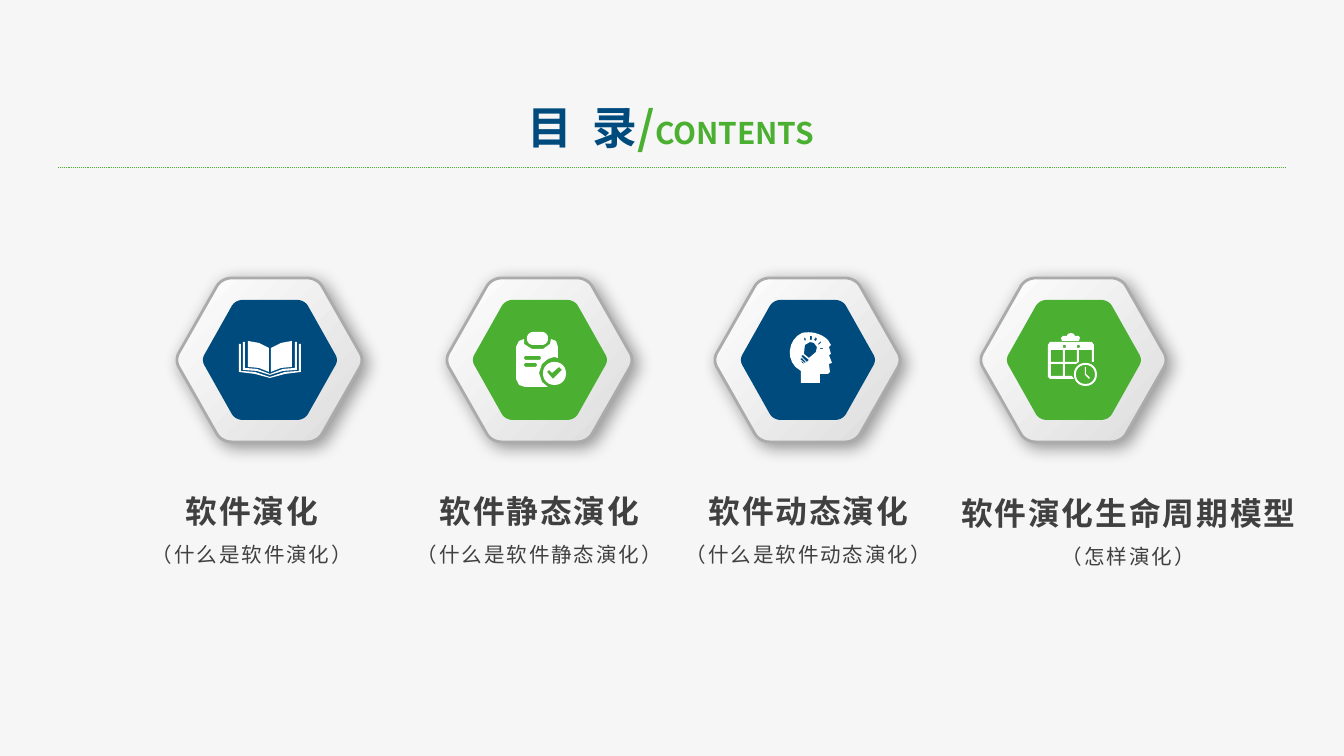
from math import cos, pi, sin

from lxml.etree import SubElement
from pptx import Presentation
from pptx.dml.color import RGBColor
from pptx.enum.dml import MSO_LINE
from pptx.enum.shapes import MSO_CONNECTOR
from pptx.enum.text import MSO_AUTO_SIZE, PP_ALIGN
from pptx.oxml.ns import qn
from pptx.util import Emu, Pt

PX = 9144000 / 1344
FONT = "Noto Sans CJK SC"
BLUE = RGBColor(0x00, 0x4B, 0x7D)
GREEN = RGBColor(0x4B, 0xAF, 0x31)
INK = RGBColor(0x40, 0x40, 0x40)
PAPER = RGBColor(0xF6, 0xF6, 0xF6)
WHITE = RGBColor(0xFF, 0xFF, 0xFF)
SILVER = RGBColor(0xDC, 0xDC, 0xDC)
EDGE = RGBColor(0xAB, 0xAB, 0xAB)


def px(length):
    return Emu(round(length * PX))


def style(target, values):
    for name, value in values.items():
        setattr(target, name, value)


def curve(start, first, second, end, steps=8):
    points = []
    for step in range(steps + 1):
        t = step / steps
        weights = ((1 - t) ** 3, 3 * t * (1 - t) ** 2, 3 * t * t * (1 - t), t ** 3)
        corners = (start, first, second, end)
        points.append(tuple(sum(w * c[axis] for w, c in zip(weights, corners))
                            for axis in (0, 1)))
    return points


def rounded(x, y, width, height, radius):
    centres = ((x + width - radius, y + height - radius), (x + radius, y + height - radius),
               (x + radius, y + radius), (x + width - radius, y + radius))
    return [(cx + radius * cos((quarter + step / 6) * pi / 2),
             cy + radius * sin((quarter + step / 6) * pi / 2))
            for quarter, (cx, cy) in enumerate(centres) for step in range(7)]


def block(x, y, width, height):
    return [(x, y), (x + width, y), (x + width, y + height), (x, y + height)]


def draw_outline(shapes, contours, left, top):
    placed = [[(px(left + x), px(top + y)) for x, y in contour] for contour in contours]
    builder = shapes.build_freeform(*placed[0][0], scale=1.0)
    for index, contour in enumerate(placed):
        if index:
            builder.move_to(*contour[0])
        builder.add_line_segments(contour[1:], close=True)
    shape = builder.convert_to_shape()
    shape.shadow.inherit = False
    shape.line.fill.background()
    return shape


def paint(shape, colour):
    shape.fill.solid()
    shape.fill.fore_color.rgb = colour


def hexagon(width, height):
    right = (curve((130, 0), (136, 0), (142, 3), (145, 8))
             + curve((182, 73), (186, 79), (186, 85), (182, 91))
             + curve((145, 156), (142, 161), (136, 164), (130, 164)))
    left = [(185 - x, y) for x, y in reversed(right)]
    return [(x * width / 185, y * height / 164) for x, y in right + left]


def book():
    halves = [
        [(30, 31), (30, 7), (20, 2), (9, 0), (9, 26), (20, 27)],
        [(4, 1), (6, 1), (6, 27), (18, 28), (31, 33), (31, 34), (18, 30), (4, 29)],
        [(0, 3), (2, 3), (2, 30), (16, 31), (31, 36), (31, 37), (16, 33), (0, 31)],
    ]
    return halves + [[(62 - x, y) for x, y in half] for half in halves]


def checklist():
    board = [(35, 7), (34, 12), (27, 17), (16, 17), (8, 12), (8, 7), (3, 9), (0, 15),
             (0, 47), (3, 53), (9, 55), (32, 55), (26, 50), (23, 41), (26, 32),
             (32, 27), (38, 25), (42, 26), (42, 15), (40, 9)]
    tick = [(31, 40), (33, 38), (36, 41), (43, 35), (46, 38), (37, 47)]
    return [board, rounded(11, 0, 21, 13, 6), rounded(8, 24, 17, 4, 2),
            rounded(8, 31, 13, 4, 2), rounded(27, 30, 23, 23, 11), tick]


def head():
    profile = ([(11, 51)] + curve((11, 39), (-6, 30), (-2, 7), (12, 1))
               + curve((12, 1), (20, -1), (31, 1), (38, 8))
               + [(41, 13), (39, 15), (41, 22), (39, 23), (42, 31), (39, 32),
                  (40, 40), (38, 42), (30, 42), (30, 51)])
    bulb = [(24, 11), (20, 10), (15, 13), (14, 22), (19, 26), (26, 20), (27, 15)]
    bands = [[(13, 23), (11, 24), (17, 30), (19, 28)],
             [(12, 26), (10, 27), (15, 31), (16, 30)],
             [(11, 28), (15, 32), (12, 31)]]
    rays = [[(26, 9), (27, 7), (26, 5), (24, 8)],
            [(28, 13), (31, 11), (31, 9), (28, 12)],
            [(22, 8), (22, 4), (20, 4), (20, 8)],
            [(16, 8), (15, 5), (14, 7), (15, 9)],
            [(30, 17), (33, 17), (33, 16), (30, 16)]]
    return [profile, bulb] + bands + rays


def calendar():
    clip = [(14, 8), (13, 5), (15, 3), (19, 3), (20, 1), (23, 0), (26, 1), (27, 3),
            (31, 3), (32, 5), (31, 8)]
    sheet = [(24, 43), (17, 43), (17, 31), (28, 31), (31, 29), (31, 17), (44, 17),
             (44, 29), (46, 29), (46, 12), (44, 9), (2, 9), (0, 12), (0, 44),
             (2, 46), (26, 46)]
    cells = [block(x, y, 12, 12) for x, y in ((3, 17), (3, 31), (17, 17))]
    pegs = [rounded(x, 12, 3, 3, 1) for x in (15, 29)]
    clock = [rounded(26, 30, 23, 23, 11), rounded(28, 32, 19, 19, 9),
             [(37, 34), (38, 34), (38, 41), (42, 45), (41, 46), (37, 42)]]
    return [clip, sheet] + cells + pegs + clock


def add_span(para, text, colour, size, bold, spacing=0):
    span = para.add_run()
    span.text = text
    style(span.font, {"name": FONT, "size": Pt(size), "bold": bold})
    span.font.color.rgb = colour
    properties = span.font._element
    SubElement(properties, qn("a:ea")).set("typeface", FONT)
    if spacing:
        properties.set("spc", str(spacing))


def add_text(page, left, top, width, height, lines, wrap, line_spacing):
    box = page.shapes.add_textbox(px(left), px(top), px(width), px(height))
    frame = box.text_frame
    style(frame, {"word_wrap": wrap, "auto_size": MSO_AUTO_SIZE.SHAPE_TO_FIT_TEXT})
    for index, spans in enumerate(lines):
        para = frame.add_paragraph() if index else frame.paragraphs[0]
        style(para, {"alignment": PP_ALIGN.CENTER, "line_spacing": line_spacing})
        for span in spans:
            add_span(para, *span)


def add_heading(page, left, top, width):
    spans = [("目", BLUE, 24, True), (" ", BLUE, 24, True, 540), ("录", BLUE, 24, True),
             (" ", BLUE, 24, True), ("/", GREEN, 24, True), ("CONTENTS", GREEN, 16, True)]
    del spans[3]
    add_text(page, left + 412, top, 402, 67, [spans], True, 1.0)
    rule = page.shapes.add_connector(MSO_CONNECTOR.STRAIGHT, px(left), px(top + 74),
                                     px(left + width), px(top + 74))
    style(rule.line, {"width": Pt(0.5), "dash_style": MSO_LINE.ROUND_DOT})
    rule.line.color.rgb = GREEN
    SubElement(rule._element.spPr, qn("a:effectLst"))


def add_soft_shadow(shape):
    effects = shape._element.spPr.find(qn("a:effectLst"))
    shadow = SubElement(effects, qn("a:outerShdw"), blurRad=str(Pt(9)), dist=str(Pt(3)),
                        dir="2700000", algn="tl", rotWithShape="0")
    black = SubElement(shadow, qn("a:srgbClr"), val="000000")
    SubElement(black, qn("a:alpha"), val="40000")


def add_badge(page, left, top, colour, icon, icon_left, icon_top):
    group = page.shapes.add_group_shape()
    ring = draw_outline(group.shapes, [hexagon(185, 164)], left, top)
    ring.fill.gradient()
    ring.fill.gradient_angle = 315
    for stop, shade in zip(ring.fill.gradient_stops, (WHITE, SILVER)):
        stop.color.rgb = shade
    ring.line.color.rgb = EDGE
    ring.line.width = Pt(1.5)
    add_soft_shadow(ring)
    paint(draw_outline(group.shapes, [hexagon(134, 120)], left + 26, top + 22), colour)
    paint(draw_outline(page.shapes, icon, left + icon_left, top + icon_top), WHITE)


def add_caption(page, left, top, width, title, note):
    lines = [[(title, INK, 17, True, 100)], [(note, INK, 11, False, 100)]]
    add_text(page, left, top, width, 109, lines, False, 1.5)


def build_contents(page):
    page.background.fill.solid()
    page.background.fill.fore_color.rgb = PAPER
    add_heading(page, 58, 93, 1228)
    chapters = [
        ((177, 278, BLUE, book(), 62, 63),
         (138, 466, 228, "软件演化", "（什么是软件演化）")),
        ((447, 278, GREEN, checklist(), 69, 54),
         (403, 466, 273, "软件静态演化", "（什么是软件静态演化）")),
        ((715, 278, BLUE, head(), 75, 54),
         (672, 466, 273, "软件动态演化", "（什么是软件动态演化）")),
        ((981, 278, GREEN, calendar(), 67, 55),
         (945, 468, 367, "软件演化生命周期模型", "（怎样演化）")),
    ]
    for badge, caption in chapters:
        add_badge(page, *badge)
        add_caption(page, *caption)


def main():
    deck = Presentation()
    style(deck, {"slide_width": px(1344), "slide_height": px(756)})
    build_contents(deck.slides.add_slide(deck.slide_layouts[6]))
    deck.save("out.pptx")


if __name__ == "__main__":
    main()
